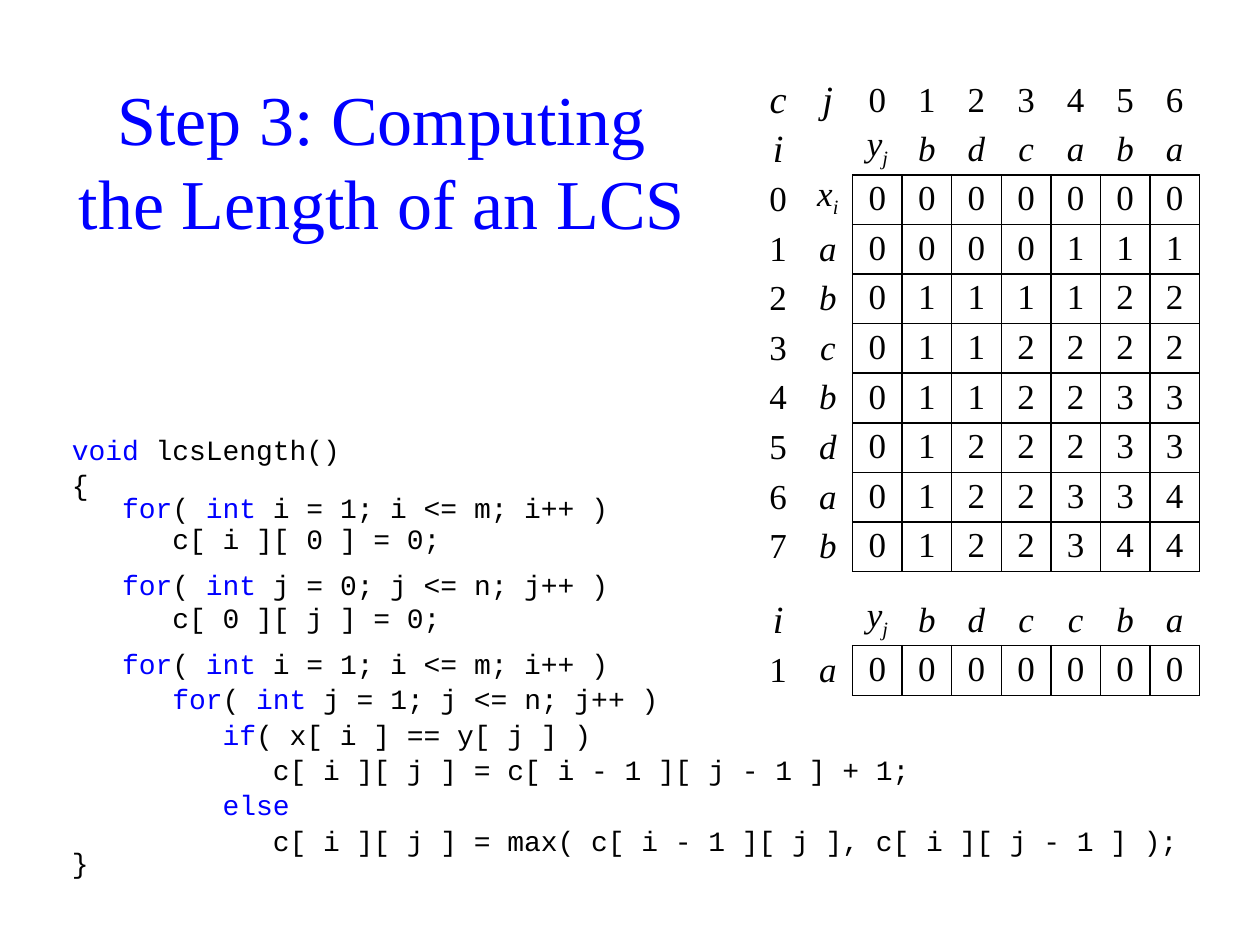
from lxml import etree
from pptx import Presentation
from pptx import util as u
from pptx.dml.color import RGBColor
from pptx.enum import text
from pptx.oxml.ns import qn

Inches, Pt = u.Inches, u.Pt
BLACK, BLUE, WHITE = "000000", "0000FF", "FFFFFF"
SERIF, MONO = "Times New Roman", "Courier New"
NO_STYLE = "{2D5ABB26-0587-4C30-8999-92F81FD0307C}"
LABEL_COLUMNS = 2

# Keywords stand between backticks: (line, space before, line spacing)
CODE = [
    ("`void` lcsLength()", 0, 1),
    ("{", 1, 1),
    ("   `for`( `int` i = 1; i <= m; i++ )", 2, 0.5),
    ("      c[ i ][ 0 ] = 0;", 0, 1),
    ("   `for`( `int` j = 0; j <= n; j++ )", 7, 1),
    ("      c[ 0 ][ j ] = 0;", 0, 1),
    ("   `for`( `int` i = 1; i <= m; i++ )", 7, 1),
    ("      `for`( `int` j = 1; j <= n; j++ )", 1, 1),
    ("         `if`( x[ i ] == y[ j ] )", 1, 1),
    ("            c[ i ][ j ] = c[ i - 1 ][ j - 1 ] + 1;", 1, 1),
    ("         `else`", 1, 1),
    ("            c[ i ][ j ] = max( c[ i - 1 ][ j ], c[ i ][ j - 1 ] );", 1, 1),
    ("}", 2, 0.5),
]

# One character a cell; an underscore starts a subscript, a dot is an empty cell
LENGTHS = [
    "c j 0 1 2 3 4 5 6",
    "i . y_j b d c a b a",
    "0 x_i 0 0 0 0 0 0 0",
    "1 a 0 0 0 0 1 1 1",
    "2 b 0 1 1 1 1 2 2",
    "3 c 0 1 1 2 2 2 2",
    "4 b 0 1 1 2 2 3 3",
    "5 d 0 1 2 2 2 3 3",
    "6 a 0 1 2 2 3 3 4",
    "7 b 0 1 2 2 3 4 4",
]
FIRST_STEP = ["i . y_j b d c c b a", "1 a 0 0 0 0 0 0 0"]


def rgb(value):
    return RGBColor.from_string(value)


def add_span(para, words, font=SERIF, size=20, color=BLACK, italic=False, baseline=0):
    span = para.add_run()
    span.text = words
    span.font.name = font
    span.font.size = Pt(size)
    span.font.color.rgb = rgb(color)
    span.font.italic = italic
    if baseline:
        span._r.get_or_add_rPr().set("baseline", str(baseline * 1000))


def place(shape, box):
    shape.left, shape.top, shape.width, shape.height = (Inches(n) for n in box)


def write_title(title, box, words):
    place(title, box)
    frame = title.text_frame
    frame.auto_size = text.MSO_AUTO_SIZE.NONE
    frame.vertical_anchor = text.MSO_ANCHOR.BOTTOM
    para = frame.paragraphs[0]
    para.alignment = text.PP_ALIGN.CENTER
    add_span(para, words, size=40, color=BLUE)


def write_code(body, box, lines):
    place(body, box)
    frame = body.text_frame
    frame.auto_size = text.MSO_AUTO_SIZE.NONE
    frame.margin_top = Inches(0.07)
    for number, (line, before, spacing) in enumerate(lines):
        para = frame.add_paragraph() if number else frame.paragraphs[0]
        properties = para._p.get_or_add_pPr()
        properties.set("marL", "0")
        properties.set("indent", "0")
        etree.SubElement(properties, qn("a:buNone"))
        para.space_before = Pt(before)
        para.line_spacing = float(spacing)
        for part, words in enumerate(line.split("`")):
            if words:
                add_span(para, words, font=MONO, size=16, color=BLUE if part % 2 else BLACK)


def set_borders(cell, sides):
    """Draw the named sides (of LRTB) in black and clear the others."""
    properties = cell._tc.get_or_add_tcPr()
    for side in "LRTB":
        line = etree.SubElement(properties, qn("a:ln" + side), w=str(Pt(1)))
        if side in sides:
            fill = etree.SubElement(line, qn("a:solidFill"))
            etree.SubElement(fill, qn("a:srgbClr"), val=BLACK)
        else:
            etree.SubElement(line, qn("a:noFill"))


def write_cell(cell, entry, size, spacing):
    cell.margin_top = cell.margin_bottom = 0
    if entry == ".":
        return
    base, _, subscript = entry.partition("_")
    if not subscript:
        cell.vertical_anchor = text.MSO_ANCHOR.MIDDLE
    para = cell.text_frame.paragraphs[0]
    para.alignment = text.PP_ALIGN.CENTER
    para.line_spacing = spacing
    add_span(para, base, size=size, italic=base.isalpha())
    if subscript:
        add_span(para, subscript, size=size, italic=True, baseline=-25)


def add_matrix(page, box, lines, header_rows, filled):
    """Add a table whose values are ruled and whose row and column labels are not."""
    entries = [line.split() for line in lines]
    column_count = len(entries[0])
    left, top, width, height = (Inches(n) for n in box)
    table = page.shapes.add_table(len(entries), column_count, left, top, width, height).table
    table.first_row = table.horz_banding = False
    table._tbl.tblPr.find(qn("a:tableStyleId")).text = NO_STYLE
    for column in table.columns:
        column.width = width // column_count
    for i, row in enumerate(entries):
        table.rows[i].height = height // len(entries)
        for j, entry in enumerate(row):
            cell = table.cell(i, j)
            below_header, past_labels = i >= header_rows, j >= LABEL_COLUMNS
            if below_header and past_labels:
                sides = "LRTB"
            elif below_header and j == LABEL_COLUMNS - 1:
                sides = "R"
            elif past_labels and i == header_rows - 1:
                sides = "B"
            else:
                sides = ""
            set_borders(cell, sides)
            if filled and i and j:
                cell.fill.solid()
                cell.fill.fore_color.rgb = rgb(WHITE)
            else:
                cell.fill.background()
            write_cell(
                cell,
                entry,
                size=20 if below_header or past_labels else 22,
                spacing=0.95 if below_header and past_labels else 1.0,
            )


def main():
    deck = Presentation()
    deck.slide_width, deck.slide_height = Inches(10), Inches(7.5)
    page = deck.slides.add_slide(deck.slide_layouts[1])
    write_title(page.shapes.title, (0.47, 0.6, 5.12, 1.38), "Step 3: Computing the Length of an LCS")
    write_code(page.placeholders[1], (0.47, 3.36, 9.06, 3.54), CODE)
    add_matrix(page, (5.98, 0.6, 3.54, 3.94), LENGTHS, header_rows=2, filled=True)
    add_matrix(page, (5.98, 4.73, 3.54, 0.79), FIRST_STEP, header_rows=1, filled=False)
    deck.save("out.pptx")


if __name__ == "__main__":
    main()
